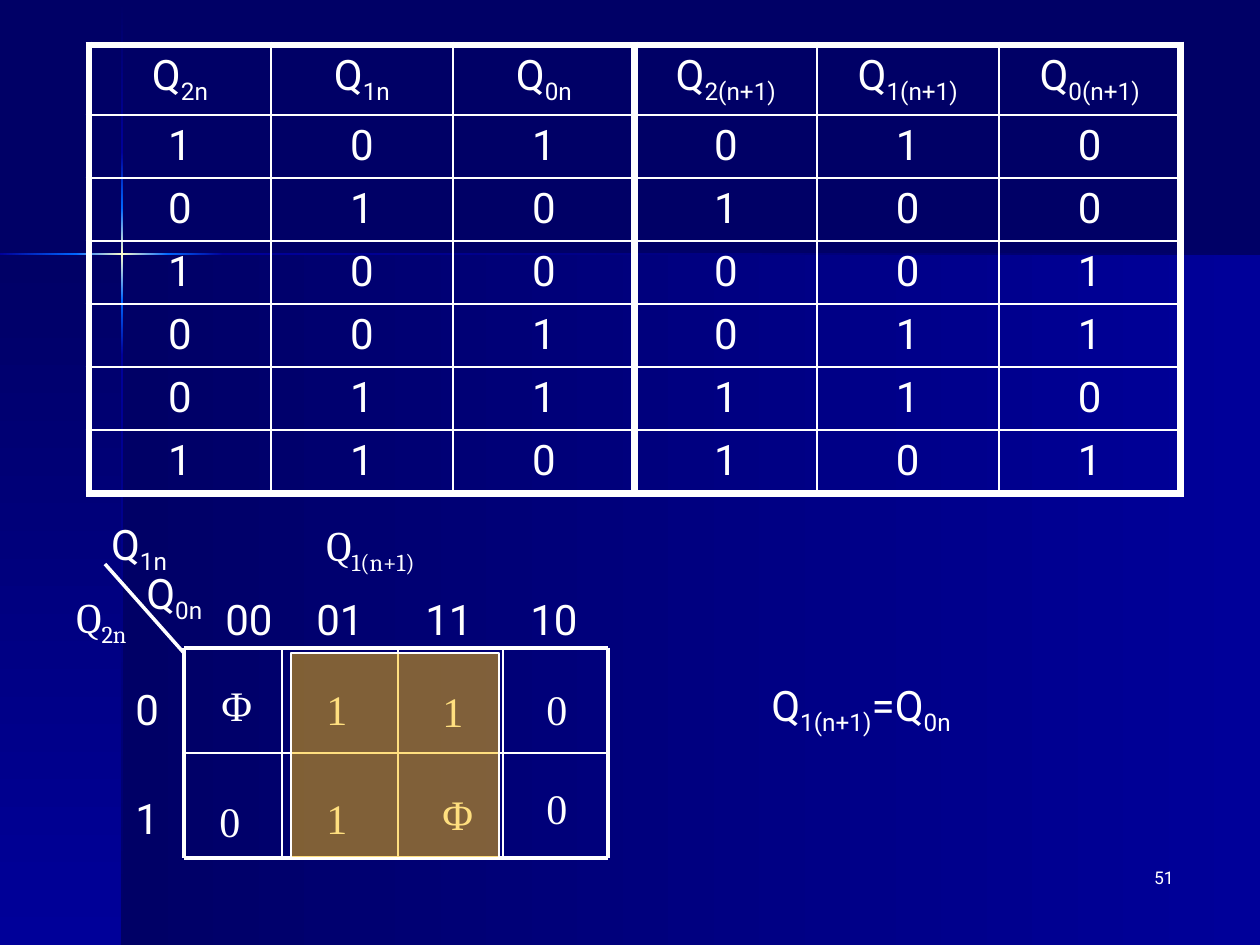
from lxml import etree
from pptx import Presentation
from pptx import util as u
from pptx.dml.color import RGBColor
from pptx.enum import shapes, text
from pptx.oxml import parse_xml
from pptx.oxml.ns import nsdecls, qn

WHITE = RGBColor(0xFF, 0xFF, 0xFF)
NAVY = RGBColor(0x00, 0x00, 0x66)
ROYAL = RGBColor(0x00, 0x00, 0x99)
AZURE = RGBColor(0x00, 0x66, 0xFF)
CREAM = RGBColor(0xFF, 0xFF, 0xCC)
AMBER = RGBColor(0xFF, 0xC0, 0x00)
SANS, SERIF, ROMAN = "Roboto", "Cambria", "Times New Roman"

HEADS = ["Q|2n", "Q|1n", "Q|0n", "Q|2(n+1)", "Q|1(n+1)", "Q|0(n+1)"]
STATES = ["101010", "010100", "100001", "001011", "011110", "110101"]

COLS = [184, 282, 398, 503, 608]
ROWS = [648, 753, 858]


def px(n):
    return u.Emu(round(n * 914400 / 126))


def write(frame, words, size=24, font=SANS, align=text.PP_ALIGN.LEFT):
    """Fill a frame; every second part between bars is a subscript."""
    par = frame.paragraphs[0]
    par.alignment = align
    for i, part in enumerate(words.split("|")):
        run = par.add_run()
        run.text = part
        run.font.size = u.Pt(size)
        run.font.name = font
        run.font.color.rgb = WHITE
        if i % 2:
            run.font._element.set("baseline", "-25000")


def label(slide, words, x, y, w, h=63, anchor=text.MSO_ANCHOR.TOP, **form):
    box = slide.shapes.add_textbox(px(x), px(y), px(w), px(h))
    box.text_frame.word_wrap = True
    box.text_frame.vertical_anchor = anchor
    write(box.text_frame, words, **form)


def block(slide, x, y, w, h):
    shape = slide.shapes.add_shape(
        shapes.MSO_SHAPE.RECTANGLE, px(x), px(y), px(w), px(h))
    shape.shadow.inherit = False
    return shape


def blend(slide, x, y, w, h, colors, angle):
    """Add a borderless bar with evenly spaced gradient stops."""
    bar = block(slide, x, y, w, h)
    bar.line.fill.background()
    step = 100000 // (len(colors) - 1)
    stops = "".join(
        f'<a:gs pos="{i * step}"><a:srgbClr val="{c}"/></a:gs>'
        for i, c in enumerate(colors))
    fill = parse_xml(
        f'<a:gradFill {nsdecls("a")} rotWithShape="1"><a:gsLst>{stops}</a:gsLst>'
        f'<a:lin ang="{angle * 60000}" scaled="0"/></a:gradFill>')
    bar._element.spPr.find(qn("a:prstGeom")).addnext(fill)


def line(slide, x1, y1, x2, y2, width):
    rule = slide.shapes.add_connector(
        shapes.MSO_CONNECTOR.STRAIGHT, px(x1), px(y1), px(x2), px(y2))
    rule.line.color.rgb = WHITE
    rule.line.width = u.Pt(width)
    etree.SubElement(rule._element.spPr, qn("a:effectLst"))


def border(cell, widths):
    """Set left, right, top and bottom borders, in points."""
    props = cell._tc.get_or_add_tcPr()
    for side, width in zip("LRTB", widths):
        props.append(parse_xml(
            f'<a:ln{side} {nsdecls("a")} w="{u.Pt(width)}"><a:solidFill>'
            f'<a:srgbClr val="{WHITE}"/></a:solidFill></a:ln{side}>'))


def backdrop(slide):
    slide.background.fill.solid()
    slide.background.fill.fore_color.rgb = NAVY
    blend(slide, 122, 255, 1138, 690, [NAVY, ROYAL], 0)
    blend(slide, 0, 255, 122, 690, [NAVY, ROYAL], 90)
    fades = [[ROYAL, AZURE], [AZURE, CREAM, AZURE], [AZURE, ROYAL], [ROYAL, NAVY]]
    blend(slide, 121, 1, 2, 151, [NAVY, ROYAL], 90)
    tall = [152, 208, 300, 355, 945]
    wide = [0, 76, 168, 223, 1260]
    for a, b, fade in zip(tall, tall[1:], fades):
        blend(slide, 121, a, 2, b - a, fade, 90)
    for a, b, fade in zip(wide, wide[1:], fades):
        blend(slide, a, 253, b - a, 2, fade, 0)


def states(slide):
    data = [HEADS] + STATES
    rows, cols = len(data), len(HEADS)
    table = slide.shapes.add_table(
        rows, cols, px(89), px(45), px(1092), px(439)).table
    table.first_row = table.horz_banding = False
    for col in table.columns:
        col.width = px(182)
    for r, words in enumerate(data):
        table.rows[r].height = px(62 if r else 67)
        for c, word in enumerate(words):
            cell = table.cell(r, c)
            thick = [c % 3 == 0, c % 3 == 2, r == 0, r == rows - 1]
            border(cell, [4.5 if t else 1.5 for t in thick])
            cell.fill.background()
            write(cell.text_frame, word, align=text.PP_ALIGN.CENTER)


def karnaugh(slide):
    for y in ROWS:
        line(slide, COLS[0], y, COLS[-1], y, 1 if y == ROWS[1] else 2.25)
    for x in COLS:
        edge = x in (COLS[0], COLS[-1])
        line(slide, x, ROWS[0], x, ROWS[-1], 2.25 if edge else 1)
    line(slide, 105, 564, 184, 653, 2)

    label(slide, "Q|1n", 93, 512, 92, align=text.PP_ALIGN.CENTER)
    label(slide, "Q|0n", 134, 561, 89)
    label(slide, "Q|2n", 64, 585, 93, font=SERIF)
    label(slide, "Q|1(n+1)", 314, 513, 137, font=SERIF)
    for word, x in zip(["00", "01", "11", "10"], [213, 304, 413, 518]):
        label(slide, word, x, 587, 79)
    for word, y in zip("01", [677, 786]):
        label(slide, word, 123, y, 79)

    cells = [("Φ", 209, 673), ("1", 314, 677), ("1", 430, 679), ("0", 534, 677),
             ("0", 207, 789), ("1", 314, 786), ("Φ", 430, 782), ("0", 534, 776)]
    for word, x, y in cells:
        label(slide, word, x, y, 60, font=ROMAN, anchor=text.MSO_ANCHOR.MIDDLE)


def loop(slide):
    """Mark the cells that are joined in the map."""
    mark = block(slide, 291, 653, 208, 205)
    mark.fill.solid()
    mark.fill.fore_color.rgb = AMBER
    tint = mark._element.spPr.find(qn("a:solidFill"))[0]
    etree.SubElement(tint, qn("a:alpha"), val="50000")
    mark.line.color.rgb = WHITE
    mark.line.width = u.Pt(0.75)


def main():
    deck = Presentation()
    deck.slide_width, deck.slide_height = px(1260), px(945)
    slide = deck.slides.add_slide(deck.slide_layouts[6])
    backdrop(slide)
    label(slide, "51", 924, 861, 262, size=10, align=text.PP_ALIGN.RIGHT)
    states(slide)
    karnaugh(slide)
    loop(slide)
    label(slide, "Q|1(n+1)|=Q|0n", 759, 673, 282)
    deck.save("out.pptx")


if __name__ == "__main__":
    main()
